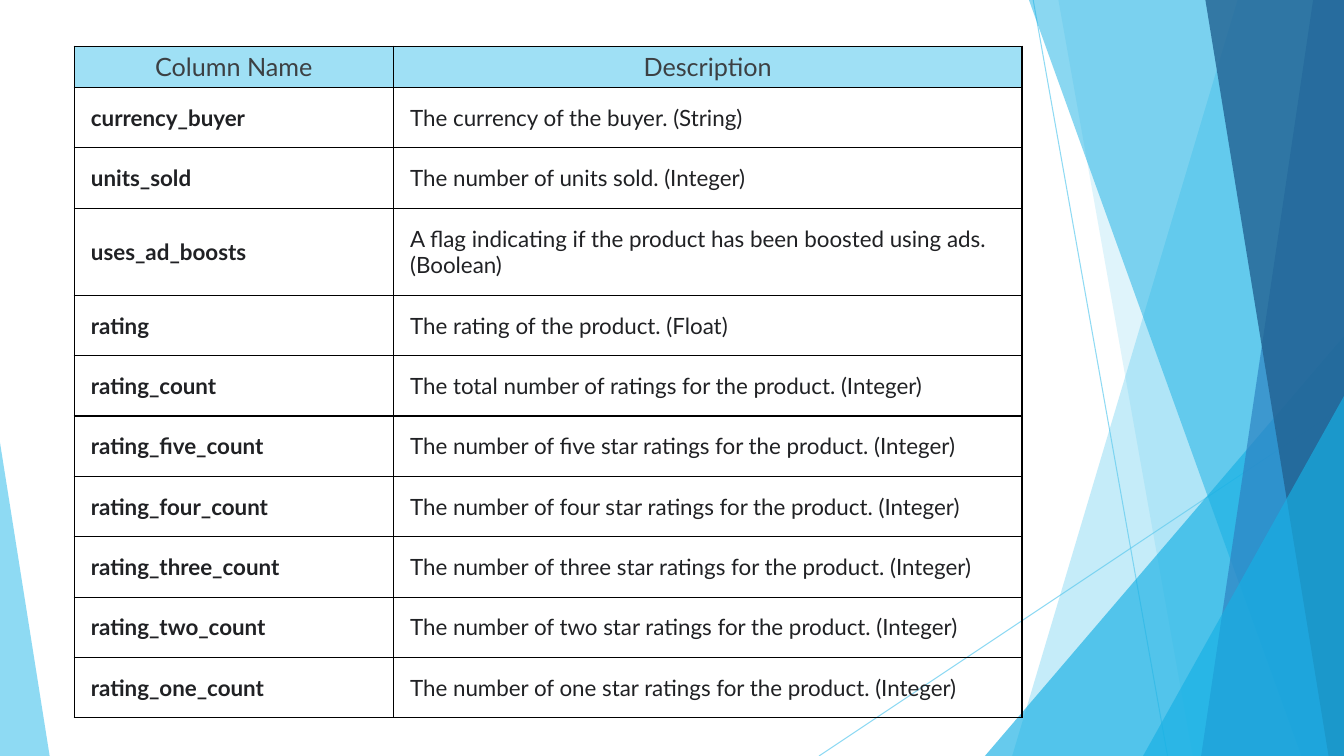
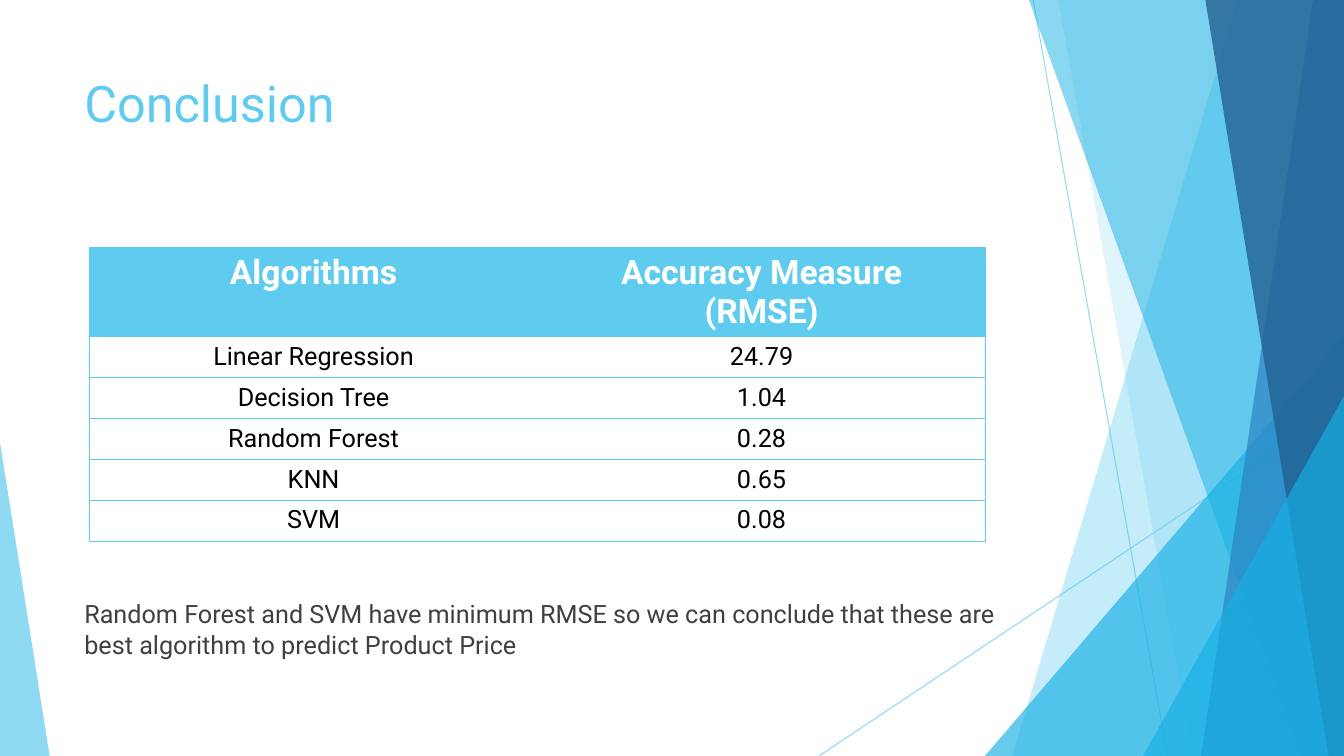
from pptx import Presentation
from pptx.dml.color import RGBColor
from pptx.enum import shapes, text
from pptx.oxml import parse_xml
from pptx.oxml.ns import nsdecls
from pptx.util import Pt

# Shared look
WIDE, HIGH = 960, 540
SKY, CYAN, BLUE, NAVY = "5FCBEF", "17B0E4", "2E83C3", "226292"
LEFT, SPAN = 53, 677

# Background bands, back to front
LINES = [(738, 0, 834, HIGH), (WIDE, 290, 585, HIGH)]
BANDS = [  # quads: top left x, bottom right x, bottom left x
    ("quad", (884, 960, 723), SKY, 36),
    ("quad", (756, 960, 852), SKY, 20),
    ("tri", (703.5, 240, 256.5, 1), CYAN, 66),
    ("quad", (735, 960, 929.5), CYAN, 50),
    ("quad", (938, 960, 858), BLUE, 70),
    ("quad", (861, 960, 949), NAVY, 80),
    ("tri", (816.5, 283, 143.5, 1), CYAN, 66),
    ("tri", (0, 316, 35.5, 0), SKY, 70),
]

# Content
FIELDS = [
    ("Column Name", "Description"),
    ("currency_buyer", "The currency of the buyer. (String)"),
    ("units_sold", "The number of units sold. (Integer)"),
    ("uses_ad_boosts", "A flag indicating if the product has been "
                       "boosted using ads. (Boolean)"),
    ("rating", "The rating of the product. (Float)"),
    ("rating_count", "The total number of ratings for the product. (Integer)"),
] + [(f"rating_{n}_count",
      f"The number of {n} star ratings for the product. (Integer)")
     for n in ("five", "four", "three", "two", "one")]

SCORES = [
    ("Algorithms", "Accuracy Measure\n(RMSE)"),
    ("Linear Regression", "24.79"),
    ("Decision Tree", "1.04"),
    ("Random Forest", "0.28"),
    ("KNN", "0.65"),
    ("SVM", "0.08"),
]
TITLE = "Conclusion"
CLOSE = ("Random Forest and SVM have minimum RMSE so we can conclude that "
         "these are best algorithm to predict Product Price")


def rgb(code):
    return RGBColor.from_string(code)


def fade(shape, alpha):
    for color in shape.element.xpath(".//a:srgbClr"):
        color.append(parse_xml(f'<a:alpha {nsdecls("a")} val="{alpha * 1000}"/>'))


def style(frame, font, size, color, bold=False, align=text.PP_ALIGN.LEFT):
    for para in frame.paragraphs:
        para.alignment = align
        for run in para.runs:
            run.font.name, run.font.size = font, Pt(size)
            run.font.bold = bold
            run.font.color.rgb = rgb(color)


def add_band(slide, kind, dims, color, alpha):
    if kind == "quad":
        top, right, base = dims
        pen = slide.shapes.build_freeform(Pt(top), 0)
        pen.add_line_segments([(Pt(WIDE), 0), (Pt(right), Pt(HIGH)),
                               (Pt(base), Pt(HIGH))])
        band = pen.convert_to_shape()
    else:
        x, y, width, peak = dims
        band = slide.shapes.add_shape(
            shapes.MSO_SHAPE.ISOSCELES_TRIANGLE,
            Pt(x), Pt(y), Pt(width), Pt(HIGH - y))
        band.adjustments[0] = peak
    band.shadow.inherit = False
    band.fill.solid()
    band.fill.fore_color.rgb = rgb(color)
    band.line.fill.background()
    fade(band, alpha)


def add_line(slide, ends):
    line = slide.shapes.add_connector(
        shapes.MSO_CONNECTOR.STRAIGHT, *(Pt(v) for v in ends))
    line.line.color.rgb = rgb(SKY)
    line.line.width = Pt(0.75)
    line.element.spPr.append(parse_xml(f'<a:effectLst {nsdecls("a")}/>'))
    fade(line, 70)


def set_master(deck, slide):
    """Draw the bands once, then move them to the slide master."""
    for ends in LINES:
        add_line(slide, ends)
    for band in BANDS:
        add_band(slide, *band)
    tree = deck.slide_master.shapes.element
    for num, shape in enumerate(list(slide.shapes), 100):
        shape.element.xpath(".//p:cNvPr")[0].set("id", str(num))
        tree.append(shape.element)


def edge(cell, color, sides):
    props = cell._tc.get_or_add_tcPr()
    for pos, side in enumerate("LRTB"):
        ink = (f'<a:solidFill><a:srgbClr val="{color}"/></a:solidFill>'
               if side in sides else "<a:noFill/>")
        props.insert(pos, parse_xml(
            f'<a:ln{side} {nsdecls("a")} w="12700">{ink}</a:ln{side}>'))


def add_grid(slide, rows, place, cols, highs, fill, ink, sides):
    """Make a table; sides gives the ruled edges of each column."""
    x, y = place
    head, rest = highs
    grid = slide.shapes.add_table(
        len(rows), len(cols), Pt(x), Pt(y), Pt(sum(cols)),
        Pt(head + rest * (len(rows) - 1))).table
    grid.horz_banding = grid.first_row = False
    for col, width in zip(grid.columns, cols):
        col.width = Pt(width)
    for r, row in enumerate(rows):
        grid.rows[r].height = Pt(rest if r else head)
        for c, words in enumerate(row):
            cell = grid.cell(r, c)
            cell.text_frame.text = words
            if r:
                cell.fill.background()
            else:
                cell.fill.solid()
                cell.fill.fore_color.rgb = rgb(fill)
            edge(cell, ink, sides[c])
    return grid


def add_fields(slide):
    grid = add_grid(slide, FIELDS, (LEFT, 33), (228, 449), (29.5, 43),
                    "9FE0F5", "000000", ("LRTB", "LRTB"))
    for r in range(len(FIELDS)):
        for c in range(2):
            cell = grid.cell(r, c)
            if r == 0:
                style(cell.text_frame, "Lato", 18, "3C4043",
                      align=text.PP_ALIGN.CENTER)
                continue
            cell.margin_left = cell.margin_right = Pt(12)
            cell.margin_top = cell.margin_bottom = Pt(12)
            cell.vertical_anchor = text.MSO_ANCHOR.MIDDLE
            style(cell.text_frame, "Lato", 16, "202124", bold=c == 0)


def fill_box(box, words, place, size, color):
    box.left, box.top, box.width, box.height = (Pt(v) for v in place)
    frame = box.text_frame
    frame.text = words
    frame.word_wrap = True
    frame.auto_size = text.MSO_AUTO_SIZE.NONE
    frame.vertical_anchor = text.MSO_ANCHOR.TOP
    para = frame.paragraphs[0]
    para.space_before = Pt(0)
    props = para._p.get_or_add_pPr()
    props.set("marL", "0")
    props.set("indent", "0")
    props.append(parse_xml(f'<a:buNone {nsdecls("a")}/>'))
    style(frame, "Roboto", size, color)


def add_close(slide):
    title, body = slide.placeholders
    fill_box(title, TITLE, (LEFT, 48, SPAN, 104), 36, SKY)
    fill_box(body, CLOSE, (LEFT, 424, SPAN, 51), 18, "404040")
    grid = add_grid(slide, SCORES, (64, 177), (320, 320), (63.5, 29.25),
                    SKY, SKY, ("LTB", "RTB"))
    for r in range(len(SCORES)):
        for c in range(2):
            size, color = (18, "000000") if r else (24, "FFFFFF")
            style(grid.cell(r, c).text_frame, "Roboto", size, color,
                  bold=r == 0, align=text.PP_ALIGN.CENTER)


def main():
    deck = Presentation()
    deck.slide_width, deck.slide_height = Pt(WIDE), Pt(HIGH)
    first = deck.slides.add_slide(deck.slide_layouts[6])
    set_master(deck, first)
    add_fields(first)
    add_close(deck.slides.add_slide(deck.slide_layouts[1]))
    deck.save("out.pptx")


if __name__ == "__main__":
    main()
